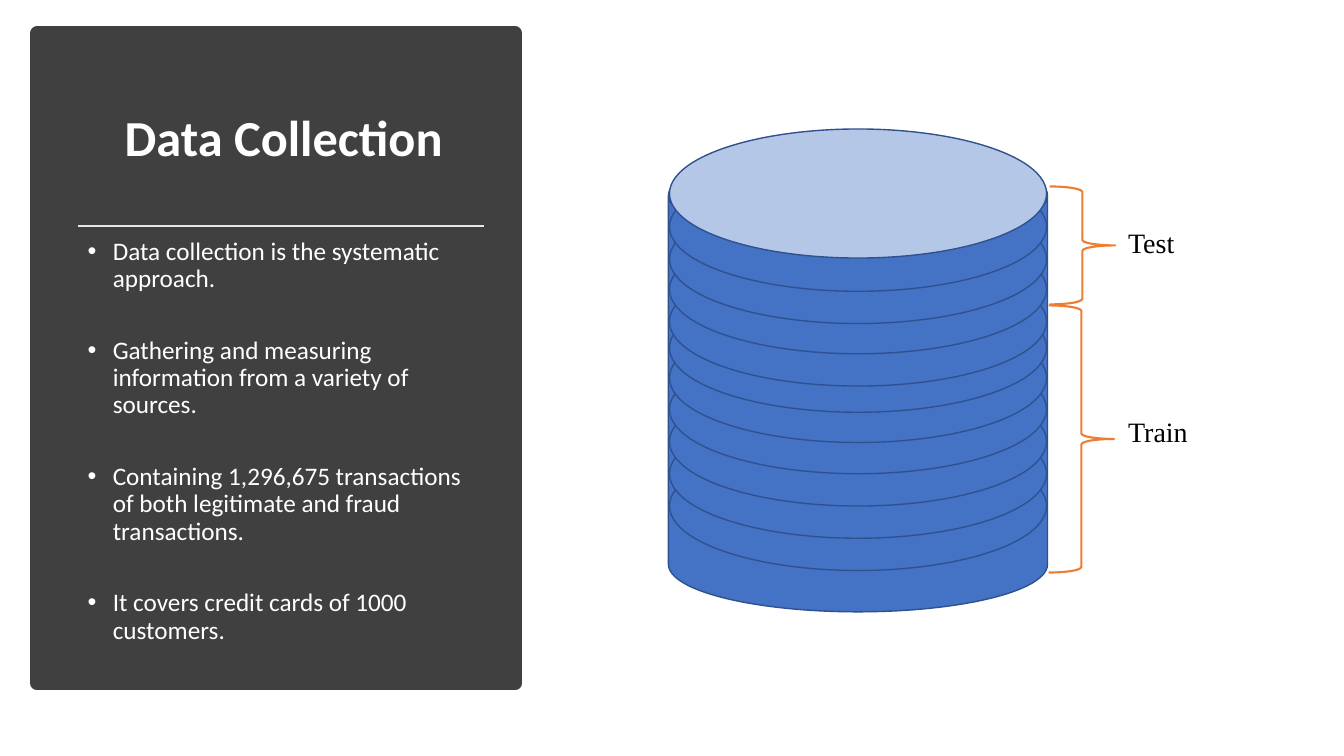
from lxml.etree import SubElement
from pptx import Presentation
from pptx.dml.color import RGBColor
from pptx.enum.shapes import MSO_CONNECTOR, MSO_SHAPE as Preset
from pptx.enum.text import MSO_ANCHOR as Anchor, MSO_AUTO_SIZE, PP_ALIGN as Align
from pptx.oxml.ns import qn
from pptx.util import Inches, Pt

# Content
HEADING = "Data Collection"
POINTS = [
    "Data collection is the systematic approach.",
    "Gathering and measuring information from a variety of sources.",
    "Containing 1,296,675 transactions of both legitimate and fraud transactions.",
    "It covers credit cards of 1000 customers.",
]
# Parts of the data: label, label top, brace left, brace top, brace height
SPLITS = [
    ("Train", 4.1, 10.4, 3.03, 2.65),
    ("Test", 2.23, 10.41, 1.85, 1.17),
]
# Top of each disk, from the lowest up
DISK_TOPS = [4.38, 4.06, 3.74, 3.42, 3.11, 2.81, 2.55, 2.23, 1.93, 1.61, 1.28]

# Layout in inches
SLIDE_W, SLIDE_H = 13.33, 7.5
PANEL = (0.37, 0.33, 4.74, 6.45)
TEXT_LEFT = 0.65
RULE_LEFT, RULE_RIGHT, RULE_Y = 0.77, 4.8, 2.24
DRUM = (6.63, 1.47, 3.76, 4.6)
DISK_W, DISK_H = 3.74, 1.28
BRACE_W, LABEL_LEFT = 0.65, 11.09

# Colours
WHITE, BLACK, DARK, RULE = "FFFFFF", "000000", "404040", "E7E6E6"
BLUE, PALE_BLUE, EDGE, ORANGE = "4472C4", "B4C7E7", "2F528F", "ED7D31"


def paint(colour_format, value):
    colour_format.rgb = RGBColor.from_string(value)


def inches(*lengths):
    return [Inches(length) for length in lengths]


def draw(preset, box, fill, line, weight=1.0):
    shape = slide.shapes.add_shape(preset, *inches(*box))
    shape.shadow.inherit = False
    if fill:
        shape.fill.solid()
        paint(shape.fill.fore_color, fill)
    else:
        shape.fill.background()
    paint(shape.line.color, line)
    shape.line.width = Pt(weight)
    return shape


def write(paragraph, words, size, font, colour, bold=False, align=Align.LEFT, after=6):
    paragraph.alignment = align
    paragraph.line_spacing = 0.9
    paragraph.space_before, paragraph.space_after = Pt(0), Pt(after)
    run = paragraph.add_run()
    run.text = words
    run.font.size, run.font.name, run.font.bold = Pt(size), font, bold
    paint(run.font.color, colour)


def add_frame(*box):
    frame = slide.shapes.add_textbox(*inches(*box)).text_frame
    frame.word_wrap = True
    return frame


def add_bullet(paragraph):
    props = paragraph._p.get_or_add_pPr()
    props.set("marL", str(Inches(0.37)))
    props.set("indent", str(Inches(-0.25)))
    SubElement(props, qn("a:buFont")).set("typeface", "Arial")
    SubElement(props, qn("a:buChar")).set("char", "•")


deck = Presentation()
deck.slide_width, deck.slide_height = inches(SLIDE_W, SLIDE_H)
slide = deck.slides.add_slide(deck.slide_layouts[5])

# Dark panel, sent behind the title
panel = draw(Preset.RECTANGLE, PANEL, DARK, DARK, 10)
slide.shapes._spTree.insert(2, panel._element)

# Title
title = slide.shapes.title
title.left, title.top, title.width, title.height = inches(TEXT_LEFT, 0.61, 4.33, 1.56)
title.text_frame.auto_size = MSO_AUTO_SIZE.NONE
title.text_frame.vertical_anchor = Anchor.MIDDLE
write(title.text_frame.paragraphs[0], HEADING, 36, "Calibri", WHITE, True, Align.CENTER)

# Rule under the title
rule = slide.shapes.add_connector(
    MSO_CONNECTOR.STRAIGHT, *inches(RULE_LEFT, RULE_Y, RULE_RIGHT, RULE_Y))
paint(rule.line.color, RULE)
rule.line.width = Pt(1.75)
SubElement(rule._element.spPr, qn("a:effectLst"))

# Bullet points
points = add_frame(TEXT_LEFT, 2.32, 4.18, 4.13)
for i, point in enumerate(POINTS):
    paragraph = points.add_paragraph() if i else points.paragraphs[0]
    write(paragraph, point, 18, "Calibri", WHITE, after=31.8)
    add_bullet(paragraph)

# Drum of stacked disks, the top one pale
draw(Preset.CAN, DRUM, BLUE, EDGE)
for top in DISK_TOPS:
    fill = PALE_BLUE if top == DISK_TOPS[-1] else BLUE
    draw(Preset.OVAL, (DRUM[0] + 0.01, top, DISK_W, DISK_H), fill, EDGE)

# Braces and labels for the split
for label, label_top, left, top, height in SPLITS:
    draw(Preset.RIGHT_BRACE, (left, top, BRACE_W, height), None, ORANGE, 1.5)
    frame = add_frame(LABEL_LEFT, label_top, 1.47, 0.41)
    write(frame.paragraphs[0], label, 20, "Times New Roman", BLACK)

deck.save("out.pptx")
